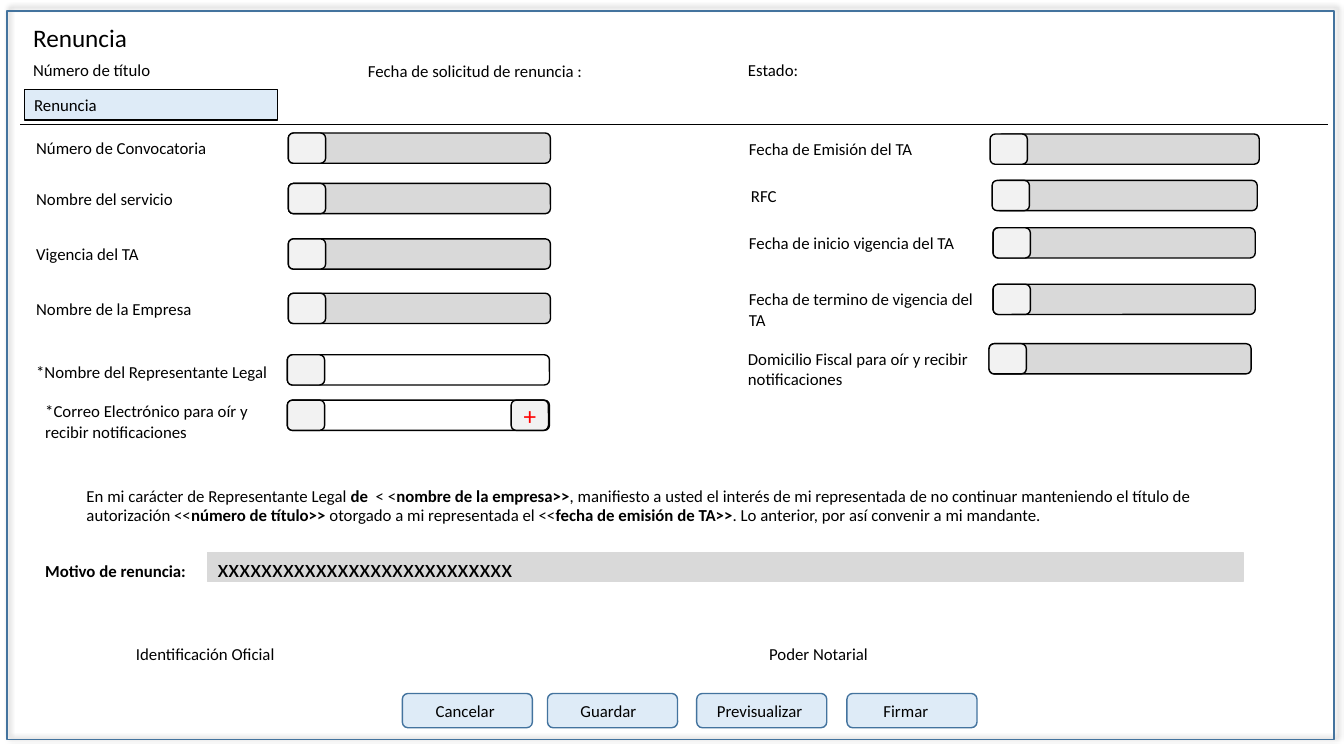
import pptx
import pptx.dml.color
import pptx.enum.shapes
import pptx.enum.text
import pptx.oxml
import pptx.oxml.ns
import pptx.util

EMU_PER_PX = 9144
BLACK, BLUE, PALE_BLUE = "000000", "43739E", "DEEBF7"
GRAY, LIGHT_GRAY, WHITE, RED = "D9D9D9", "F2F2F2", "FFFFFF", "FF0000"
SHAPES = pptx.enum.shapes.MSO_SHAPE
MIDDLE = pptx.enum.text.MSO_ANCHOR.MIDDLE
LEFT = pptx.enum.text.PP_ALIGN.LEFT
CENTER = pptx.enum.text.PP_ALIGN.CENTER


def px(length):
    return pptx.util.Emu(length * EMU_PER_PX)


def color(value):
    return pptx.dml.color.RGBColor.from_string(value)


def write_runs(shape, runs, size=12, font_color=BLACK, align=LEFT):
    shape.text_frame.word_wrap = True
    paragraph = shape.text_frame.paragraphs[0]
    paragraph.alignment = align
    for text, bold in runs:
        run = paragraph.add_run()
        run.text = text
        run.font.name = "Calibri"
        run.font.size = pptx.util.Pt(size)
        run.font.bold = bold
        run.font.color.rgb = color(font_color)
    return paragraph


def add_label(slide, left, top, width, text, height=30, size=12, bold=False):
    label = slide.shapes.add_textbox(px(left), px(top), px(width), px(height))
    write_runs(label, [(text, bold)], size)


def add_box(slide, left, top, width, height, fill, line, kind=SHAPES.ROUNDED_RECTANGLE):
    box = slide.shapes.add_shape(kind, px(left), px(top), px(width), px(height))
    box.shadow.inherit = False
    if fill:
        box.fill.solid()
        box.fill.fore_color.rgb = color(fill)
    else:
        box.fill.background()
    box.line.color.rgb = color(line)
    box.line.width = pptx.util.Pt(1)
    box.text_frame.vertical_anchor = MIDDLE
    return box


def add_frame(slide, left, top, width, height):
    frame = add_box(slide, left, top, width, height, None, BLUE, SHAPES.RECTANGLE)
    effects = frame.element.spPr.find(pptx.oxml.ns.qn("a:effectLst"))
    effects.append(pptx.oxml.parse_xml(
        f'<a:outerShdw {pptx.oxml.ns.nsdecls("a")} blurRad="50800" dist="38100" '
        'dir="18900000" algn="bl" rotWithShape="0"><a:srgbClr val="000000">'
        '<a:alpha val="40000"/></a:srgbClr></a:outerShdw>'))


def add_header(slide, left, top, width):
    add_label(slide, left + 3, top, 346, "Renuncia", 40, 18)
    add_label(slide, left + 3, top + 37, 359, "Número de título")
    add_label(slide, left + 335, top + 38, 252, "Fecha de solicitud de renuncia :")
    add_label(slide, left + 712, top + 37, 252, "Estado:")
    tab = add_box(slide, left + 4, top + 72, 251, 30, PALE_BLUE, BLACK, SHAPES.RECTANGLE)
    write_runs(tab, [("Renuncia", False)])
    rule = slide.shapes.add_connector(
        pptx.enum.shapes.MSO_CONNECTOR.STRAIGHT,
        px(left), px(top + 106), px(left + width), px(top + 106))
    rule.line.color.rgb = color(BLACK)
    rule.line.width = pptx.util.Pt(0.5)
    rule.element.spPr.append(
        pptx.oxml.parse_xml(f'<a:effectLst {pptx.oxml.ns.nsdecls("a")}/>'))


def add_input(slide, left, top, fill, cap_shift=0):
    add_box(slide, left, top, 260, 30, fill, BLACK)
    add_box(slide, left + cap_shift, top, 37, 30, LIGHT_GRAY, BLACK)


def add_left_fields(slide, left, top):
    fields = [
        ("Número de Convocatoria", 0),
        ("Nombre del servicio", 50),
        ("Vigencia del TA", 105),
        ("Nombre de la Empresa", 159),
    ]
    for text, offset in fields:
        add_input(slide, left + 260, top + offset, GRAY)
        add_label(slide, left, top + offset, 359, text)
    add_input(slide, left + 259, top + 220, WHITE)
    add_label(slide, left, top + 222, 359, "*Nombre del Representante Legal")
    add_input(slide, left + 259, top + 265, None)
    add_label(slide, left + 9, top + 261, 258,
              "*Correo Electrónico para oír y recibir notificaciones", 71)
    plus = add_box(slide, left + 481, top + 265, 37, 30, LIGHT_GRAY, BLACK)
    write_runs(plus, [("+", False)], 18, RED, CENTER)


def add_right_fields(slide, left, top):
    fields = [
        ("Fecha de Emisión del TA", 1, 0, 359, 30, 257, -7),
        ("RFC", 3, 46, 359, 30, 255, -3),
        ("Fecha de inicio vigencia del TA", 1, 93, 359, 30, 253, 0),
        ("Fecha de termino de vigencia del TA", 1, 149, 256, 50, 253, 0),
        ("Domicilio Fiscal para oír y recibir notificaciones", 0, 208, 250, 50, 249, 0),
    ]
    for text, indent, offset, width, height, input_left, cap_shift in fields:
        add_input(slide, left + input_left, top + offset, GRAY, cap_shift)
        add_label(slide, left + indent, top + offset, width, text, height)


def add_statement(slide, left, top, width, height):
    statement = slide.shapes.add_textbox(px(left), px(top), px(width), px(height))
    statement.text_frame.vertical_anchor = MIDDLE
    paragraph = write_runs(statement, [
        ("En mi carácter de Representante Legal ", False),
        ("de ", True),
        (" < <", False),
        ("nombre de la empresa>>", True),
        (", manifiesto a usted el interés de mi representada de no continuar "
         "manteniendo el título de autorización <<", False),
        ("número de título>> ", True),
        ("otorgado a mi representada el <<", False),
        ("fecha de emisión de TA>>", True),
        (". Lo anterior, por así convenir a mi mandante.", False),
    ])
    paragraph.line_spacing = 0.9


def add_reason(slide, left, top, width):
    add_label(slide, left, top + 3, 211, "Motivo de renuncia:", bold=True)
    reason = add_box(slide, left + 171, top, width - 171, 29, GRAY, GRAY, SHAPES.RECTANGLE)
    write_runs(reason, [("x" * 27, False)], 18)


def add_documents(slide, left, top):
    for text, offset in [("Identificación Oficial", 0), ("Poder Notarial", 628)]:
        add_label(slide, left + offset, top, 337, text)


def add_buttons(slide, left, top):
    buttons = [("Cancelar", 0, 4), ("Guardar", 144, 8),
               ("Previsualizar", 292, 4), ("Firmar", 441, 12)]
    for text, offset, extra_margin in buttons:
        button = add_box(slide, left + offset, top, 129, 34, PALE_BLUE, BLUE)
        button.text_frame.margin_right = px(10 + extra_margin)
        write_runs(button, [(text, False)], align=CENTER)


def main():
    presentation = pptx.Presentation()
    presentation.slide_width, presentation.slide_height = px(1333), px(750)
    slide = presentation.slides.add_slide(presentation.slide_layouts[6])
    add_frame(slide, 7, 11, 1316, 723)
    add_header(slide, 20, 17, 1297)
    add_left_fields(slide, 26, 132)
    add_right_fields(slide, 732, 133)
    add_statement(slide, 76, 473, 1197, 59)
    add_reason(slide, 35, 548, 1198)
    add_documents(slide, 125, 634)
    add_buttons(slide, 399, 688)
    presentation.save("out.pptx")


if __name__ == "__main__":
    main()
